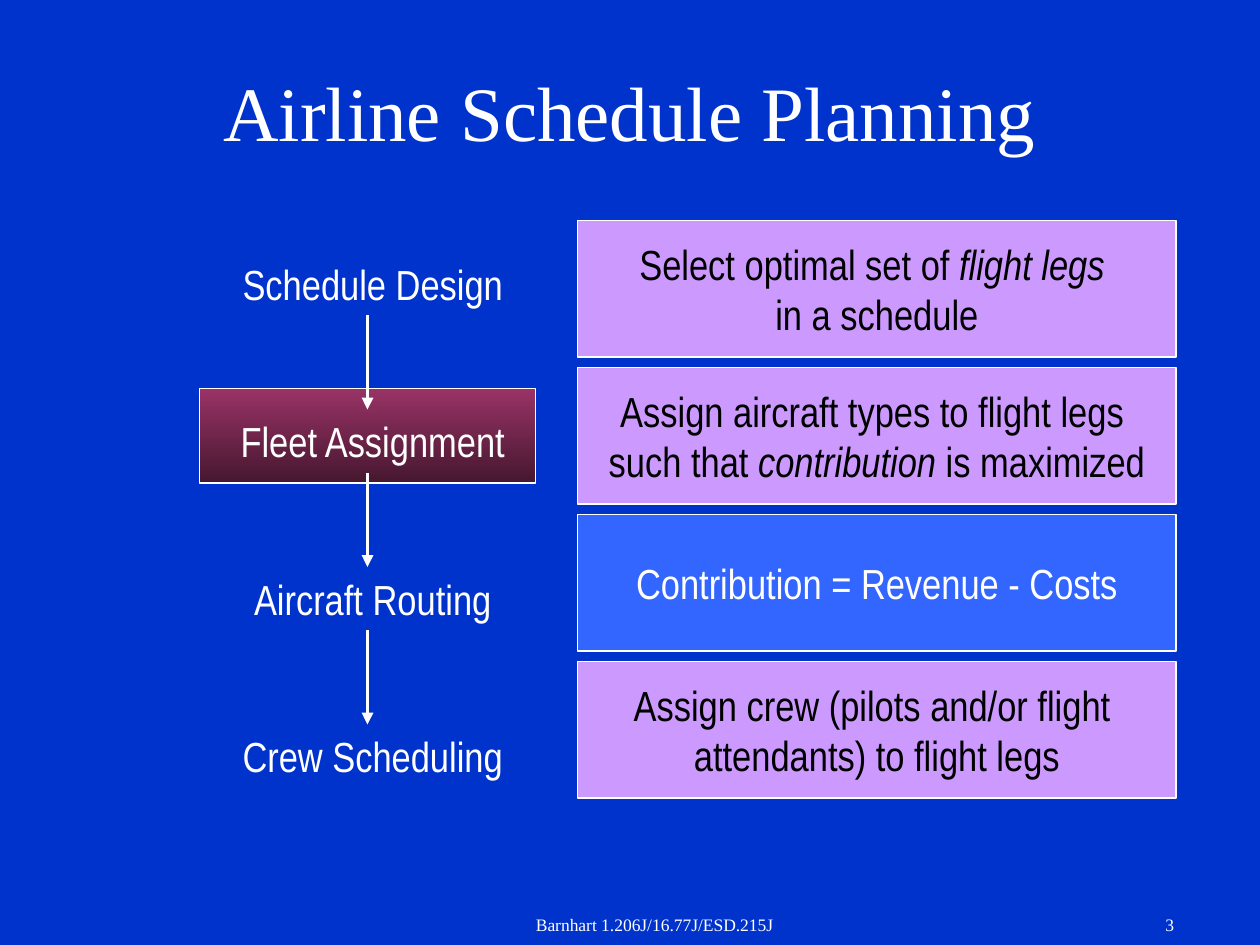
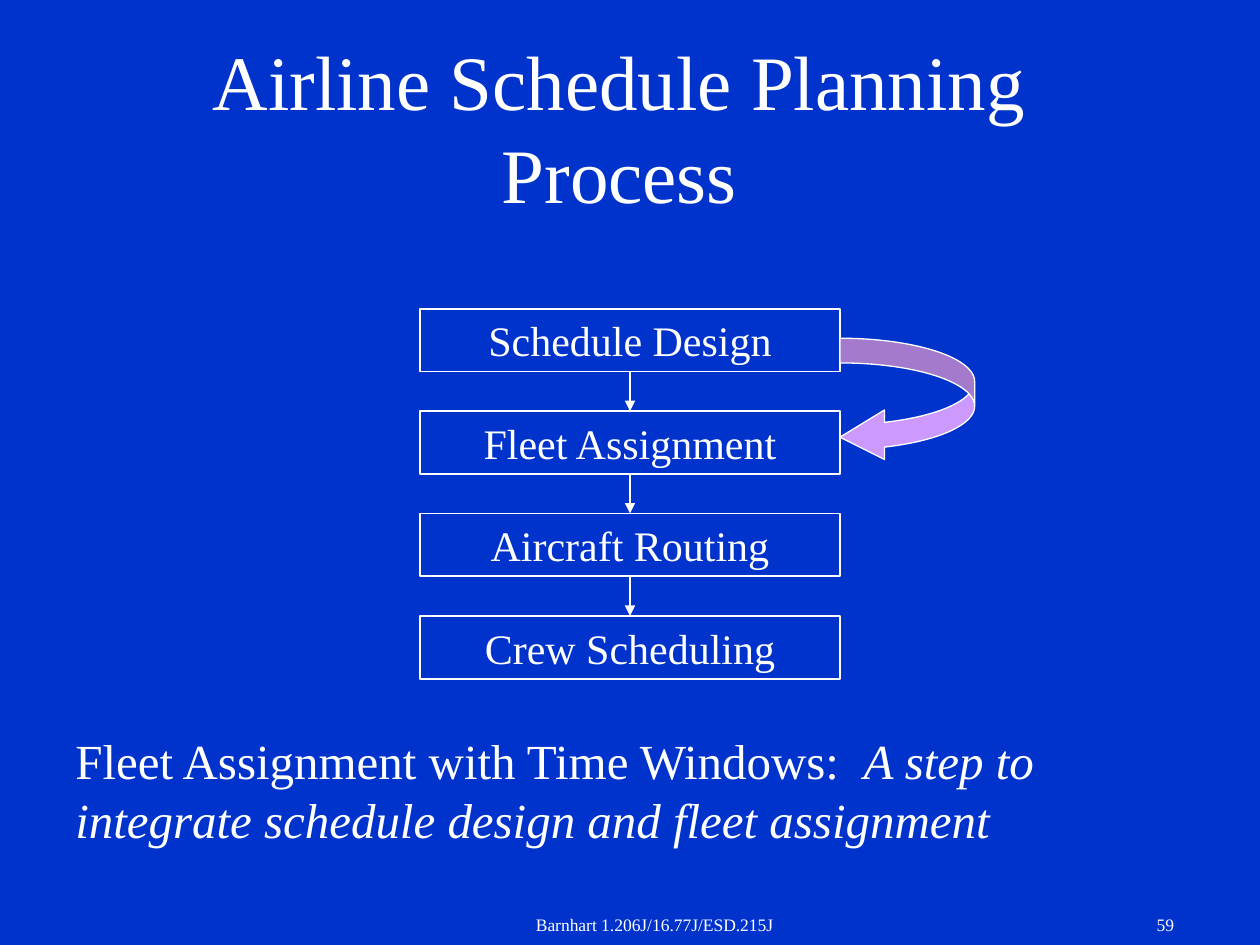
from dataclasses import dataclass
from itertools import pairwise

from lxml.etree import SubElement
from pptx import Presentation
from pptx.dml.color import RGBColor
from pptx.enum.shapes import MSO_CONNECTOR as Connector, MSO_SHAPE as Preset
from pptx.enum.text import MSO_ANCHOR as Anchor, PP_ALIGN as Align
from pptx.oxml.ns import qn
from pptx.shapes.autoshape import Shape
from pptx.shapes.connector import Connector as Arrow
from pptx.slide import Slide
from pptx.util import Pt

NAVY = RGBColor(0x00, 0x33, 0xCC)
BLUE = RGBColor(0x33, 0x66, 0xFF)
LILAC = RGBColor(0xCC, 0x99, 0xFF)
PLUM = RGBColor(0x99, 0x33, 0x66)
DARK_PLUM = RGBColor(0x46, 0x17, 0x2F)
WHITE = RGBColor(0xFF, 0xFF, 0xFF)
BLACK = RGBColor(0x00, 0x00, 0x00)

SERIF = "Times New Roman"
NARROW = "Arial Narrow"
FOOTER = "Barnhart 1.206J/16.77J/ESD.215J"
STEPS = ("Schedule Design", "Fleet Assignment", "Aircraft Routing", "Crew Scheduling")


@dataclass(frozen=True)
class Frame:
    left: float
    top: float
    width: float
    height: float

    def points(self) -> tuple[Pt, Pt, Pt, Pt]:
        return Pt(self.left), Pt(self.top), Pt(self.width), Pt(self.height)

    def down(self, distance: float) -> "Frame":
        return Frame(self.left, self.top + distance, self.width, self.height)


@dataclass(frozen=True)
class Style:
    font: str
    size: float
    color: RGBColor = WHITE
    align: Align = Align.CENTER
    anchor: Anchor = Anchor.TOP
    wrap: bool = True


@dataclass(frozen=True)
class Span:
    text: str
    italic: bool = False


@dataclass(frozen=True)
class Panel:
    lines: tuple[tuple[Span, ...], ...]
    fill: RGBColor = LILAC
    color: RGBColor = BLACK


TITLE = Style(SERIF, 44, anchor=Anchor.MIDDLE)
STEP_LABEL = Style(NARROW, 24)
STEP_BOX = Style(SERIF, 24, anchor=Anchor.MIDDLE, wrap=False)
SUMMARY = Style(SERIF, 28, align=Align.LEFT)
FOOTER_TEXT = Style(SERIF, 10)
PAGE_NUMBER = Style(SERIF, 10, align=Align.RIGHT)

PANELS = (
    Panel((
        (Span("Select optimal set of "), Span("flight legs ", True)),
        (Span("in a schedule"),),
    )),
    Panel((
        (Span("Assign aircraft types to flight legs "),),
        (Span("such that "), Span("contribution", True), Span(" is maximized")),
    )),
    Panel(((Span("Contribution = Revenue - Costs"),),), BLUE, WHITE),
    Panel((
        (Span("Assign crew (pilots and/or flight "),),
        (Span("attendants) to flight legs"),),
    )),
)


def write(box: Shape, style: Style, *lines: tuple[Span, ...]) -> None:
    frame = box.text_frame
    frame.word_wrap = style.wrap
    frame.vertical_anchor = style.anchor
    for index, line in enumerate(lines):
        para = frame.add_paragraph() if index else frame.paragraphs[0]
        para.alignment = style.align
        for span in line:
            run = para.add_run()
            run.text = span.text
            run.font.name = style.font
            run.font.size = Pt(style.size)
            run.font.color.rgb = style.color
            run.font.italic = span.italic


def add_text(page: Slide, frame: Frame, style: Style, *spans: Span) -> None:
    write(page.shapes.add_textbox(*frame.points()), style, spans)


def add_box(page: Slide, frame: Frame, fill: RGBColor | None = None,
            line_width: float = 0.75, preset: Preset = Preset.RECTANGLE) -> Shape:
    box = page.shapes.add_shape(preset, *frame.points())
    box.shadow.inherit = False
    if fill is None:
        box.fill.background()
    else:
        box.fill.solid()
        box.fill.fore_color.rgb = fill
    box.line.color.rgb = WHITE
    box.line.width = Pt(line_width)
    return box


def add_arrow(page: Slide, x: float, top: float, bottom: float, width: float) -> Arrow:
    arrow = page.shapes.add_connector(Connector.STRAIGHT, Pt(x), Pt(top), Pt(x), Pt(bottom))
    arrow.line.color.rgb = WHITE
    arrow.line.width = Pt(width)
    SubElement(arrow.line._get_or_add_ln(), qn("a:tailEnd"), type="triangle")
    SubElement(arrow._element.spPr, qn("a:effectLst"))
    return arrow


def add_page(deck: Presentation, title: str, title_frame: Frame, number: int) -> Slide:
    page = deck.slides.add_slide(deck.slide_layouts[6])
    page.background.fill.solid()
    page.background.fill.fore_color.rgb = NAVY
    add_text(page, title_frame, TITLE, Span(title))
    add_text(page, Frame(260, 519, 228, 21), FOOTER_TEXT, Span(FOOTER))
    add_text(page, Frame(528, 519, 150, 21), PAGE_NUMBER, Span(str(number)))
    return page


def build_planning(deck: Presentation) -> None:
    page = add_page(deck, "Airline Schedule Planning", Frame(54, 18, 612, 90), 3)

    highlight = add_box(page, Frame(114, 222, 192, 54))
    highlight.fill.gradient()
    highlight.fill.gradient_angle = 270
    for stop, color in zip(highlight.fill.gradient_stops, (PLUM, DARK_PLUM)):
        stop.color.rgb = color

    first_step, step_pitch = Frame(108, 144, 210, 36), 90
    for index, step in enumerate(STEPS):
        frame = first_step.down(index * step_pitch)
        add_text(page, frame, STEP_LABEL, Span(step))
        if index:
            add_arrow(page, 210, frame.top - step_pitch + frame.height, frame.top, 2.25)

    first_panel, panel_pitch = Frame(330, 126, 342, 78), 84
    for index, panel in enumerate(PANELS):
        box = add_box(page, first_panel.down(index * panel_pitch), panel.fill)
        style = Style(NARROW, 24, panel.color, anchor=Anchor.MIDDLE, wrap=False)
        write(box, style, *panel.lines)


def build_process(deck: Presentation) -> None:
    page = add_page(deck, "Airline Schedule Planning Process", Frame(48, 27, 612, 90), 59)

    first_step, step_pitch = Frame(240, 176.4, 240, 36), 58.5
    boxes = []
    for index, step in enumerate(STEPS):
        box = add_box(page, first_step.down(index * step_pitch), line_width=1)
        write(box, STEP_BOX, (Span(step),))
        boxes.append(box)
    for upper, lower in pairwise(boxes):
        arrow = add_arrow(page, 360, 0, 0, 1)
        arrow.begin_connect(upper, 2)
        arrow.end_connect(lower, 0)

    loop = add_box(page, Frame(480, 193.3, 77, 70.7), LILAC, preset=Preset.CURVED_LEFT_ARROW)
    for index, ratio in enumerate((0.2, 0.4, 0.36)):
        loop.adjustments[index] = ratio

    add_text(
        page, Frame(36, 414, 634, 75), SUMMARY,
        Span("Fleet Assignment with Time Windows:  "),
        Span("A step to integrate schedule design and fleet assignment", True),
    )


def main() -> None:
    deck = Presentation()
    deck.slide_width = Pt(720)
    deck.slide_height = Pt(540)
    build_planning(deck)
    build_process(deck)
    deck.save("out.pptx")


if __name__ == "__main__":
    main()
